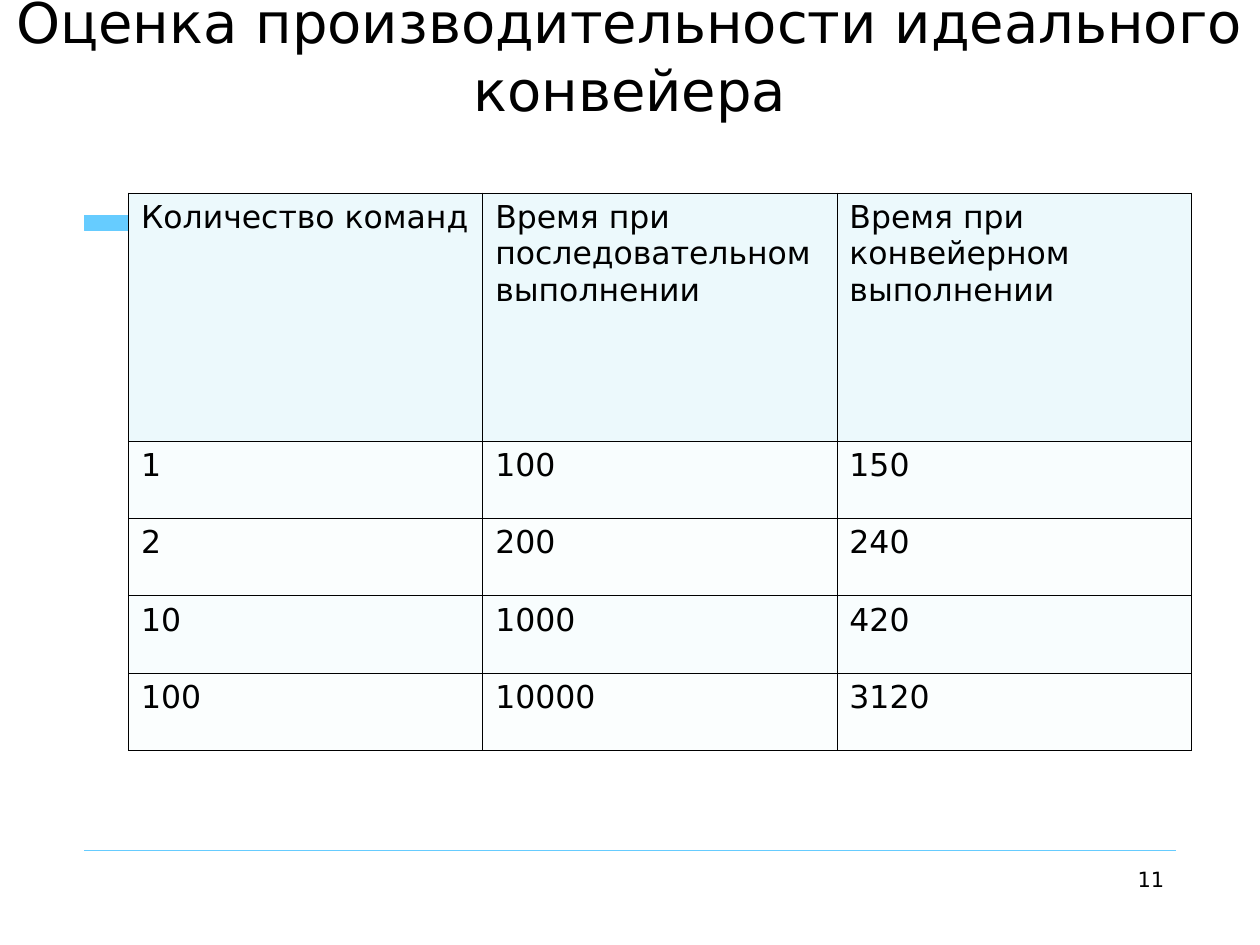
from dataclasses import dataclass

from lxml import etree
from pptx import Presentation
from pptx import util as u
from pptx.dml.color import RGBColor
from pptx.enum import shapes, text
from pptx.oxml import ns

TITLE = "Оценка производительности идеального конвейера"
PAGE_NUMBER = "11"
HEADINGS = (
    "Количество команд",
    "Время при последовательном выполнении",
    "Время при конвейерном выполнении",
)
TIMINGS = ((1, 100, 150), (2, 200, 240), (10, 1000, 420), (100, 10000, 3120))


@dataclass(frozen=True)
class Theme:
    font: str = "DejaVu Sans"
    ink: str = "000000"
    accent: str = "66CCFF"
    heading_fill: str = "ECF9FC"
    band_fills: tuple = ("F8FDFE", "FBFEFE")
    title_size: float = 32
    table_size: float = 18
    number_size: float = 12
    border: float = 0.45


THEME = Theme()
LEFT = 1.7
TABLE_LEFT, TABLE_TOP, COLUMN_WIDTH = 2.59, 3.89, 7.14
HEADING_HEIGHT, ROW_HEIGHT = 5, 1.56


def colour(value):
    return RGBColor.from_string(value)


def write(frame, content, size, align=text.PP_ALIGN.LEFT, anchor=text.MSO_ANCHOR.TOP):
    frame.word_wrap = True
    frame.vertical_anchor = anchor
    para = frame.paragraphs[0]
    para.alignment = align
    span = para.add_run()
    span.text = content
    span.font.name = THEME.font
    span.font.size = u.Pt(size)
    span.font.color.rgb = colour(THEME.ink)


def add_text(page, content, place, **style):
    box = page.shapes.add_textbox(*map(u.Cm, place))
    write(box.text_frame, content, **style)


def add_accent_bar(page):
    left, middle, right, top, bottom = map(u.Cm, (LEFT, 14.63, 23.8, 4.34, 4.65))
    builder = page.shapes.build_freeform(left, top)
    builder.add_line_segments([(middle, top), (middle, bottom), (left, bottom)])
    builder.move_to(left, top)
    builder.add_line_segments([(right, top)], close=False)
    bar = builder.convert_to_shape()
    bar.shadow.inherit = False
    bar.fill.solid()
    bar.fill.fore_color.rgb = colour(THEME.accent)
    bar.line.color.rgb = colour(THEME.accent)
    bar.line.width = u.Pt(0.75)


def add_footer_rule(page):
    ends = map(u.Cm, (LEFT, 17.15, 23.7, 17.15))
    rule = page.shapes.add_connector(shapes.MSO_CONNECTOR.STRAIGHT, *ends)
    rule.line.color.rgb = colour(THEME.accent)
    rule.line.width = u.Pt(0.25)
    etree.SubElement(rule._element.spPr, ns.qn("a:effectLst"))


def set_borders(cell):
    properties = cell._tc.get_or_add_tcPr()
    for index, side in enumerate(("lnL", "lnR", "lnT", "lnB")):
        line = etree.Element(ns.qn(f"a:{side}"), w=str(u.Pt(THEME.border)))
        fill = etree.SubElement(line, ns.qn("a:solidFill"))
        etree.SubElement(fill, ns.qn("a:srgbClr"), val=THEME.ink)
        properties.insert(index, line)


def add_timing_table(page):
    rows = (HEADINGS, *TIMINGS)
    width = COLUMN_WIDTH * len(HEADINGS)
    height = HEADING_HEIGHT + ROW_HEIGHT * len(TIMINGS)
    place = map(u.Cm, (TABLE_LEFT, TABLE_TOP, width, height))
    table = page.shapes.add_table(len(rows), len(HEADINGS), *place).table
    table.first_row = table.horz_banding = False
    for column in table.columns:
        column.width = u.Cm(COLUMN_WIDTH)
    for number, values in enumerate(rows):
        table.rows[number].height = u.Cm(ROW_HEIGHT if number else HEADING_HEIGHT)
        shade = THEME.band_fills[(number - 1) % 2] if number else THEME.heading_fill
        for cell, value in zip(table.rows[number].cells, values):
            write(cell.text_frame, str(value), THEME.table_size)
            cell.fill.solid()
            cell.fill.fore_color.rgb = colour(shade)
            set_borders(cell)


def main():
    """Build the slide on the performance of an ideal pipeline."""
    deck = Presentation()
    deck.slide_width, deck.slide_height = u.Cm(25.4), u.Cm(19.05)
    page = deck.slides.add_slide(deck.slide_layouts[6])
    add_accent_bar(page)
    add_footer_rule(page)
    add_text(page, TITLE, (0, 0, 25.4, 2.59), size=THEME.title_size,
             align=text.PP_ALIGN.CENTER, anchor=text.MSO_ANCHOR.BOTTOM)
    add_text(page, PAGE_NUMBER, (18.21, 17.35, 5.51, 1.32),
             size=THEME.number_size, align=text.PP_ALIGN.RIGHT)
    add_timing_table(page)
    deck.save("out.pptx")


if __name__ == "__main__":
    main()
